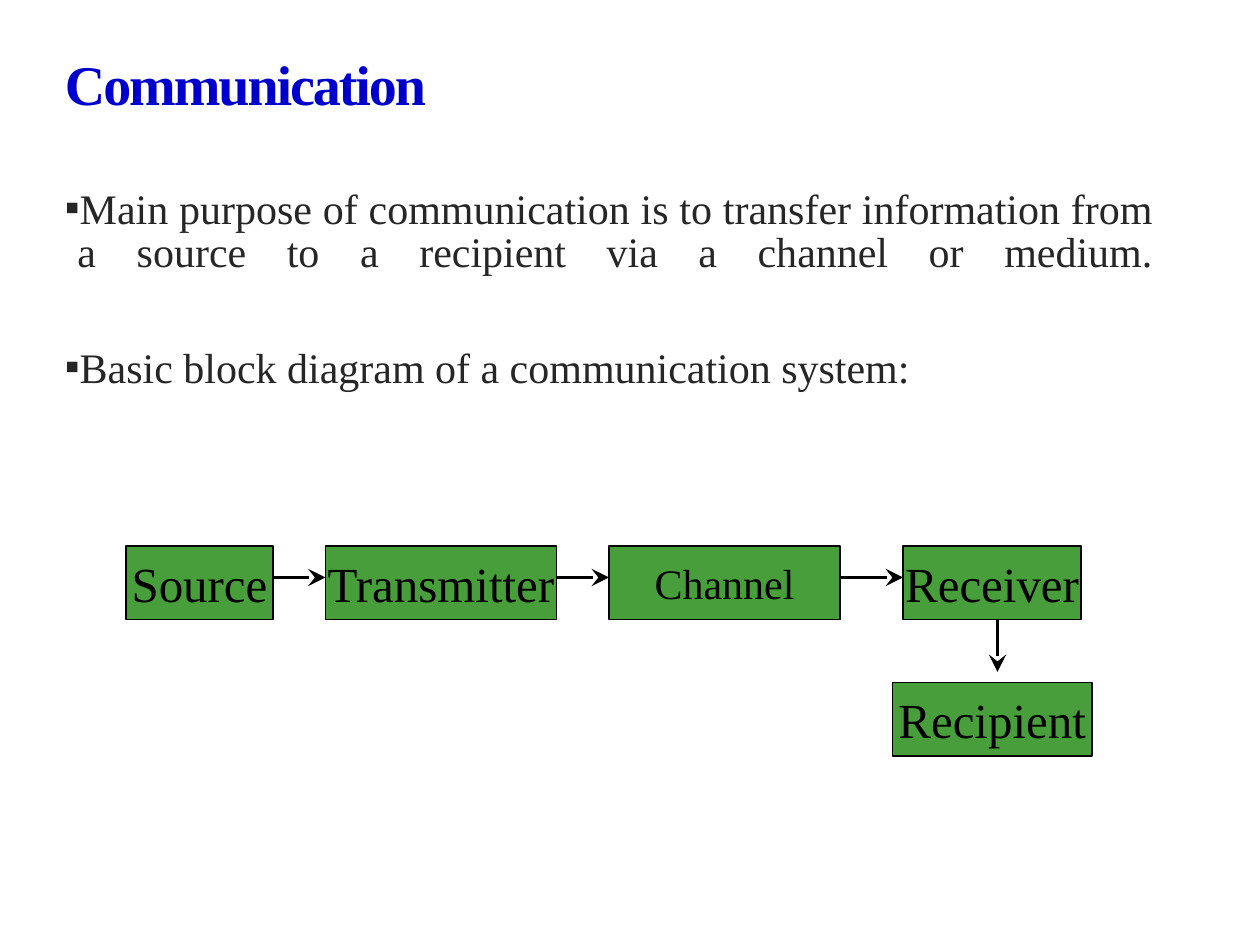
from dataclasses import dataclass

import lxml.etree
import pptx
import pptx.dml.color
import pptx.enum.shapes
import pptx.enum.text
import pptx.oxml.ns
import pptx.util

Align = pptx.enum.text.PP_ALIGN
Anchor = pptx.enum.text.MSO_ANCHOR


@dataclass(frozen=True)
class Theme:
    font: str = "Times New Roman"
    title_color: str = "0000CC"
    body_color: str = "262626"
    ink: str = "000000"
    block_fill: str = "489E3A"
    title_size: int = 32
    body_size: int = 24
    block_size: int = 28


def color(value):
    return pptx.dml.color.RGBColor.from_string(value)


def grid(units):
    """Convert grid units (120 columns by 90 rows per slide) to a length."""
    return pptx.util.Inches(units / 12)


def add_xml(parent, tag, **attributes):
    name = pptx.oxml.ns.qn(tag)
    return lxml.etree.SubElement(parent, name, attributes)


class SlideBuilder:
    def __init__(self, presentation, theme):
        self.theme = theme
        self.slide = presentation.slides.add_slide(presentation.slide_layouts[6])

    def add_run(self, paragraph, text, size, ink, bold=False):
        run = paragraph.add_run()
        run.text = text
        run.font.name = self.theme.font
        run.font.size = pptx.util.Pt(size)
        run.font.color.rgb = color(ink)
        run.font.bold = bold
        return run

    def text_frame(self, column, row, columns, rows, anchor):
        box = self.slide.shapes.add_textbox(*map(grid, (column, row, columns, rows)))
        box.text_frame.word_wrap = True
        box.text_frame.vertical_anchor = anchor
        return box.text_frame

    def title(self, text, *place):
        paragraph = self.text_frame(*place, Anchor.MIDDLE).paragraphs[0]
        paragraph.line_spacing = 0.9
        run = self.add_run(paragraph, text, self.theme.title_size,
                           self.theme.title_color, bold=True)
        run.font._element.set("spc", "-120")

    def bullets(self, items, *place):
        """Add justified bullets; an item ending in a newline gets a line break."""
        frame = self.text_frame(*place, Anchor.TOP)
        for index, item in enumerate(items):
            paragraph = frame.add_paragraph() if index else frame.paragraphs[0]
            paragraph.alignment = Align.JUSTIFY
            paragraph.line_spacing = 0.85
            paragraph.space_before = pptx.util.Pt(13)
            properties = paragraph._p.get_or_add_pPr()
            indent = pptx.util.Inches(0.1)
            properties.set("marL", str(indent))
            properties.set("indent", str(-indent))
            add_xml(properties, "a:buFont", typeface=self.theme.font)
            add_xml(properties, "a:buChar", char="▪")
            run = self.add_run(paragraph, item.rstrip("\n"),
                               self.theme.body_size, self.theme.body_color)
            if item.endswith("\n"):
                paragraph.add_line_break()
                line_break = paragraph._p[-1]
                add_xml(line_break, "a:rPr", sz=str(run.font.size.centipoints))

    def block(self, text, column, row, columns, rows=7, size=None):
        shape = self.slide.shapes.add_shape(
            pptx.enum.shapes.MSO_SHAPE.RECTANGLE,
            *map(grid, (column, row, columns, rows)))
        shape.shadow.inherit = False
        shape.fill.solid()
        shape.fill.fore_color.rgb = color(self.theme.block_fill)
        shape.line.color.rgb = color(self.theme.ink)
        shape.line.width = pptx.util.Pt(1)
        frame = shape.text_frame
        frame.word_wrap = False
        frame.vertical_anchor = Anchor.MIDDLE
        paragraph = frame.paragraphs[0]
        paragraph.alignment = Align.CENTER
        self.add_run(paragraph, text, size or self.theme.block_size, self.theme.ink)

    def arrow(self, *ends):
        """Draw an arrow; ends are start column, row, end column, row."""
        connector = self.slide.shapes.add_connector(
            pptx.enum.shapes.MSO_CONNECTOR.STRAIGHT, *map(grid, ends))
        connector.line.color.rgb = color(self.theme.ink)
        connector.line.width = pptx.util.Pt(2)
        add_xml(connector.line._get_or_add_ln(), "a:tailEnd",
                type="stealth", w="lg", len="lg")
        add_xml(connector._element.spPr, "a:effectLst")


def main():
    presentation = pptx.Presentation()
    presentation.slide_width = grid(120)
    presentation.slide_height = grid(90)
    theme = Theme()
    builder = SlideBuilder(presentation, theme)

    builder.title("Communication", 5, 4.6, 106, 7.5)
    builder.bullets([
        "Main purpose of communication is to transfer information from "
        "a source to a recipient via a channel or medium.\n",
        "Basic block diagram of a communication system:",
    ], 5, 17.5, 106, 22.5)

    chain_row, arrow_row = 52, 55
    chain = [  # text, column, columns, type size
        ("Source", 12, 14, theme.block_size),
        ("Transmitter", 31, 22, theme.block_size),
        ("Channel", 58, 22, theme.body_size),
        ("Receiver", 86, 17, theme.block_size),
    ]
    for text, column, columns, size in chain:
        builder.block(text, column, chain_row, columns, size=size)
    builder.block("Recipient", 85, 65, 19)

    for (_, column, columns, _), (_, next_column, _, _) in zip(chain, chain[1:]):
        builder.arrow(column + columns, arrow_row, next_column, arrow_row)
    builder.arrow(95, 59, 95, 64)

    presentation.save("out.pptx")


if __name__ == "__main__":
    main()
